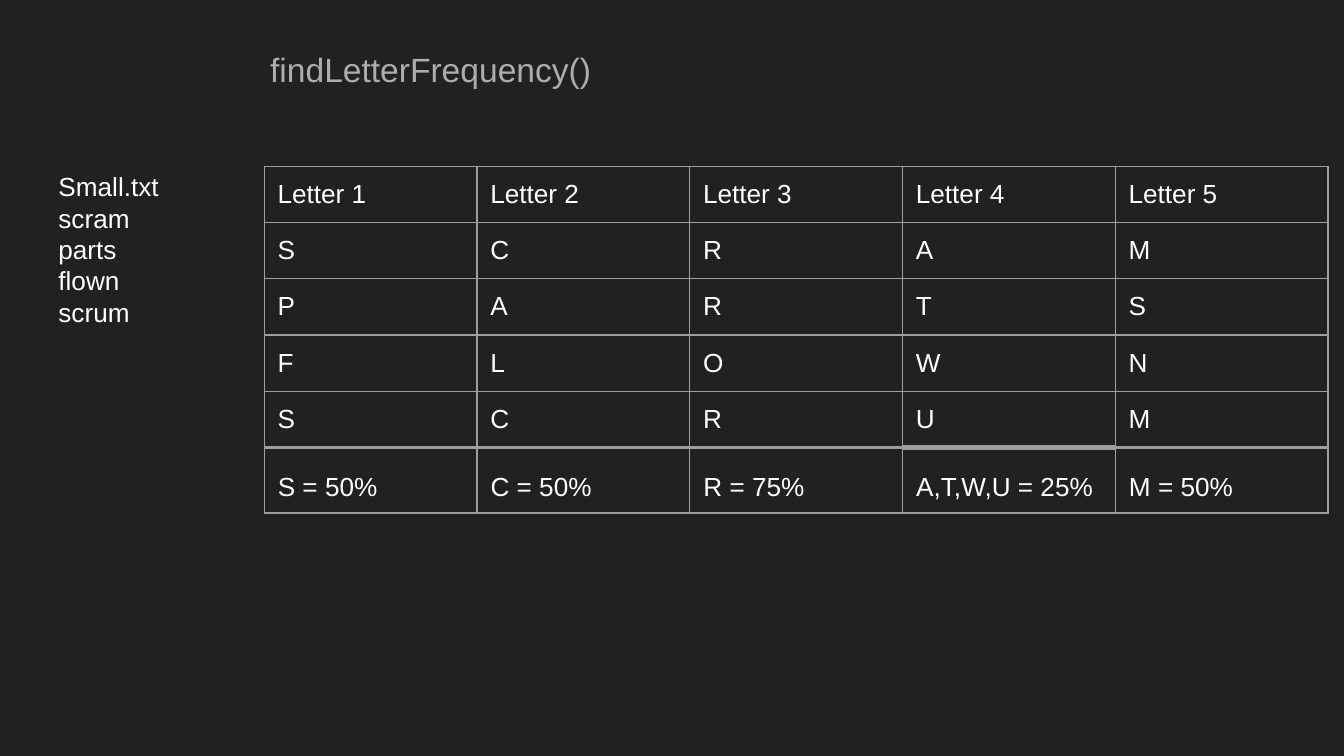
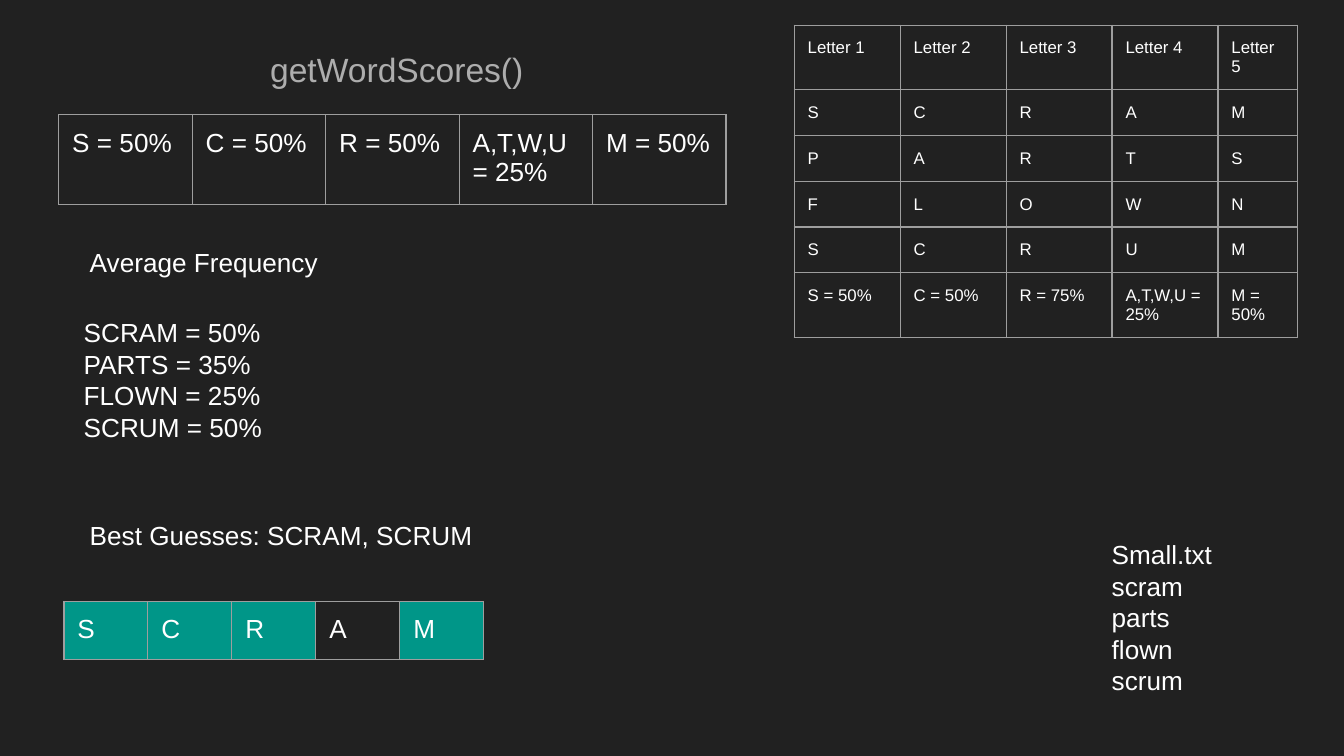
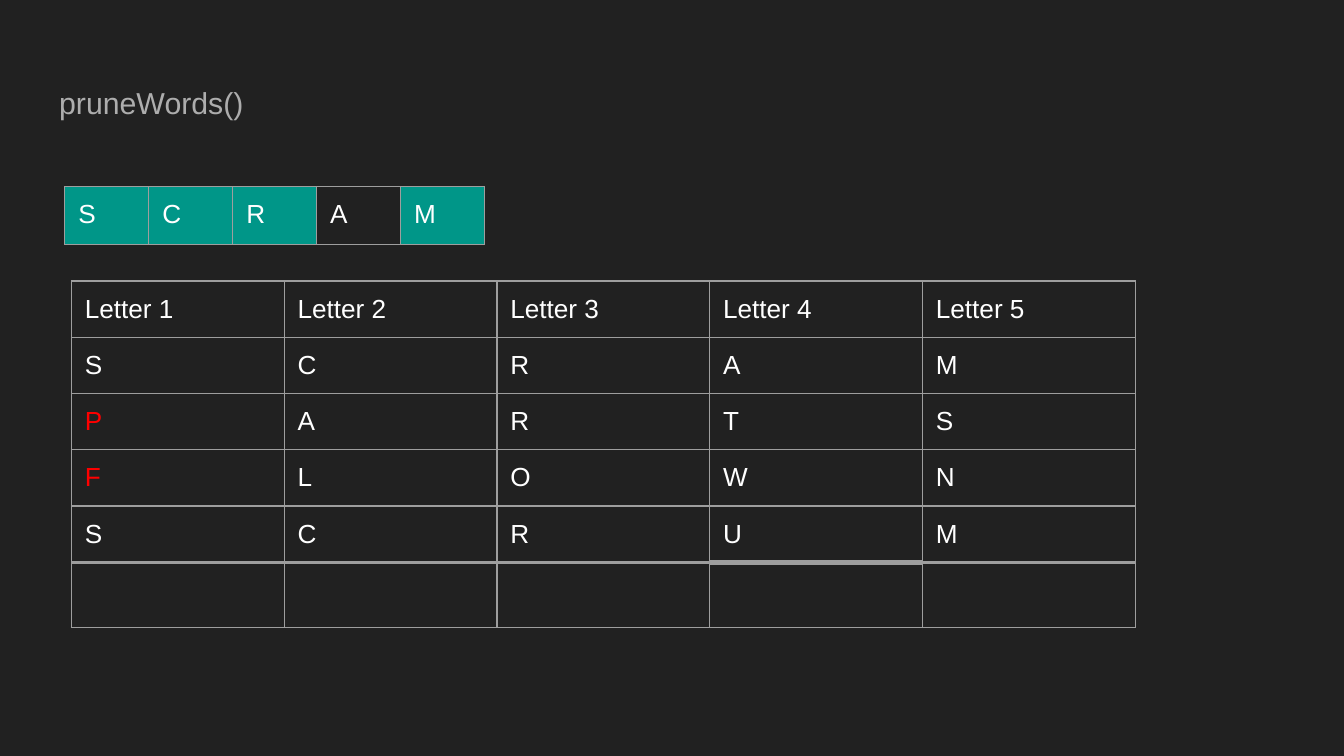
from pptx import Presentation
from pptx.dml.color import RGBColor
from pptx.enum.text import MSO_ANCHOR as Anchor, MSO_AUTO_SIZE as AutoSize, PP_ALIGN as Align
from pptx.oxml.xmlchemy import OxmlElement as Element
from pptx.util import Pt

BACKGROUND, WHITE, GREY = "212121", "FFFFFF", "ADADAD"
BORDER, TEAL, RED = "9E9E9E", "009688", "FF0000"
FONT = "Arial"
INSET = Pt(7.2)
COLUMN = 114

color = RGBColor.from_string


def write(frame, lines, size=14, ink=WHITE):
    frame.word_wrap = True
    for index, line in enumerate(lines):
        para = frame.paragraphs[0] if index == 0 else frame.add_paragraph()
        para.alignment = Align.LEFT
        span = para.add_run()
        span.text = line
        span.font.name = FONT
        span.font.size = Pt(size)
        span.font.color.rgb = color(ink)


def add_grid(page, left, top, widths, heights, rows, size=14, fills={}, inks={}, rule_row=None):
    grid = page.shapes.add_table(len(heights), len(widths), Pt(left), Pt(top),
                                 Pt(sum(widths)), Pt(sum(heights))).table
    grid.first_row = grid.horz_banding = False
    for column, width in zip(grid.columns, widths):
        column.width = Pt(width)
    for row, height in zip(grid.rows, heights):
        row.height = Pt(height)
    for r, values in enumerate(rows):
        for c, value in enumerate(values):
            cell = grid.cell(r, c)
            if value:
                cell.margin_left = cell.margin_right = INSET
                cell.margin_top = cell.margin_bottom = INSET
                write(cell.text_frame, [value], size, inks.get((r, c), WHITE))
            if (r, c) in fills:
                cell.fill.solid()
                cell.fill.fore_color.rgb = color(fills[r, c])
            else:
                cell.fill.background()
            rule = 3 if c == 3 else 2.25
            weights = {"a:lnL": 0.75, "a:lnR": 0.75,
                       "a:lnT": rule if rule_row and r == rule_row + 1 else 0.75,
                       "a:lnB": rule if r == rule_row else 0.75}
            properties = cell._tc.get_or_add_tcPr()
            for position, (tag, weight) in enumerate(weights.items()):
                line = Element(tag)
                line.set("w", str(Pt(weight)))
                fill, shade = Element("a:solidFill"), Element("a:srgbClr")
                shade.set("val", BORDER)
                fill.append(shade)
                line.append(fill)
                properties.insert(position, line)


deck = Presentation()
deck.slide_width, deck.slide_height = Pt(720), Pt(405)
master_fill = deck.slide_master.background.fill
master_fill.solid()
master_fill.fore_color.rgb = color(BACKGROUND)

titles = [
    ("findLetterFrequency()", 137.5, 16, 497.5, 36, 18),
    ("getWordScores()", 137.5, 16, 497.5, 36, 18),
    ("pruneWords()", 24.5, 35, 671, 45, 16.2),
]
pages = []
for text, left, top, width, height, size in titles:
    page = deck.slides.add_slide(deck.slide_layouts[5])
    title = page.shapes.title
    title.left, title.top, title.width, title.height = Pt(left), Pt(top), Pt(width), Pt(height)
    frame = title.text_frame
    frame.auto_size = AutoSize.NONE
    frame.vertical_anchor = Anchor.TOP
    frame.margin_left = frame.margin_right = frame.margin_top = frame.margin_bottom = INSET
    write(frame, [text], size, GREY)
    frame.paragraphs[0].line_spacing = 1.15
    frame.paragraphs[0].space_after = Pt(12)
    pages.append(page)
frequency_page, score_page, prune_page = pages

words = ["scram", "parts", "flown", "scrum"]
header = [f"Letter {number}" for number in range(1, 6)]
letters = [header] + [list(word.upper()) for word in words]
letters[2][1:3] = ["A", "R"]
frequencies = ["S = 50%", "C = 50%", "R = 75%", "A,T,W,U = 25%", "M = 50%"]
scores = frequencies[:2] + ["R = 50%"] + frequencies[3:]
blanks = [""] * 5
letter_heights = [30] * 5 + [35]

add_grid(frequency_page, 141.5, 89, [COLUMN] * 5, letter_heights, letters + [blanks], rule_row=4)
add_grid(score_page, 425.5, 13.5, [56.75] * 4 + [42.5], [21] * 5 + [30],
         letters + [frequencies], size=9)
add_grid(score_page, 31.5, 61.5, [71.5] * 5, [48], [scores])
add_grid(prune_page, 38.25, 150.5, [COLUMN] * 5, letter_heights, letters + [blanks],
         inks={(2, 0): RED, (3, 0): RED}, rule_row=4)

matches = {(0, c): TEAL for c in (0, 1, 2, 4)}
for page, left, top in [(score_page, 34.25, 322.25), (prune_page, 34.75, 100)]:
    add_grid(page, left, top, [45] * 5, [31], [letters[1]], fills=matches)

word_list = ["Small.txt"] + words
averages = ["SCRAM = 50%", "PARTS = 35%", "FLOWN = 25%", "SCRUM = 50%"]
notes = [
    (frequency_page, 24.25, 84.25, 103, 99.5, word_list),
    (score_page, 588.5, 281.5, 103, 99.5, word_list),
    (score_page, 37.75, 162.5, 265.5, 82, averages),
    (score_page, 41, 124.75, 140, 31.5, ["Average Frequency"]),
    (score_page, 41, 271.25, 373, 48, ["Best Guesses: SCRAM, SCRUM"]),
]
for index, frequency in enumerate(frequencies):
    notes.append((frequency_page, 141.75 + COLUMN * index, 244.75, 113, 31.5, [frequency]))
for page, left, top, width, height, lines in notes:
    box = page.shapes.add_textbox(Pt(left), Pt(top), Pt(width), Pt(height))
    frame = box.text_frame
    frame.margin_left = frame.margin_right = frame.margin_top = frame.margin_bottom = INSET
    write(frame, lines)

deck.save("out.pptx")
